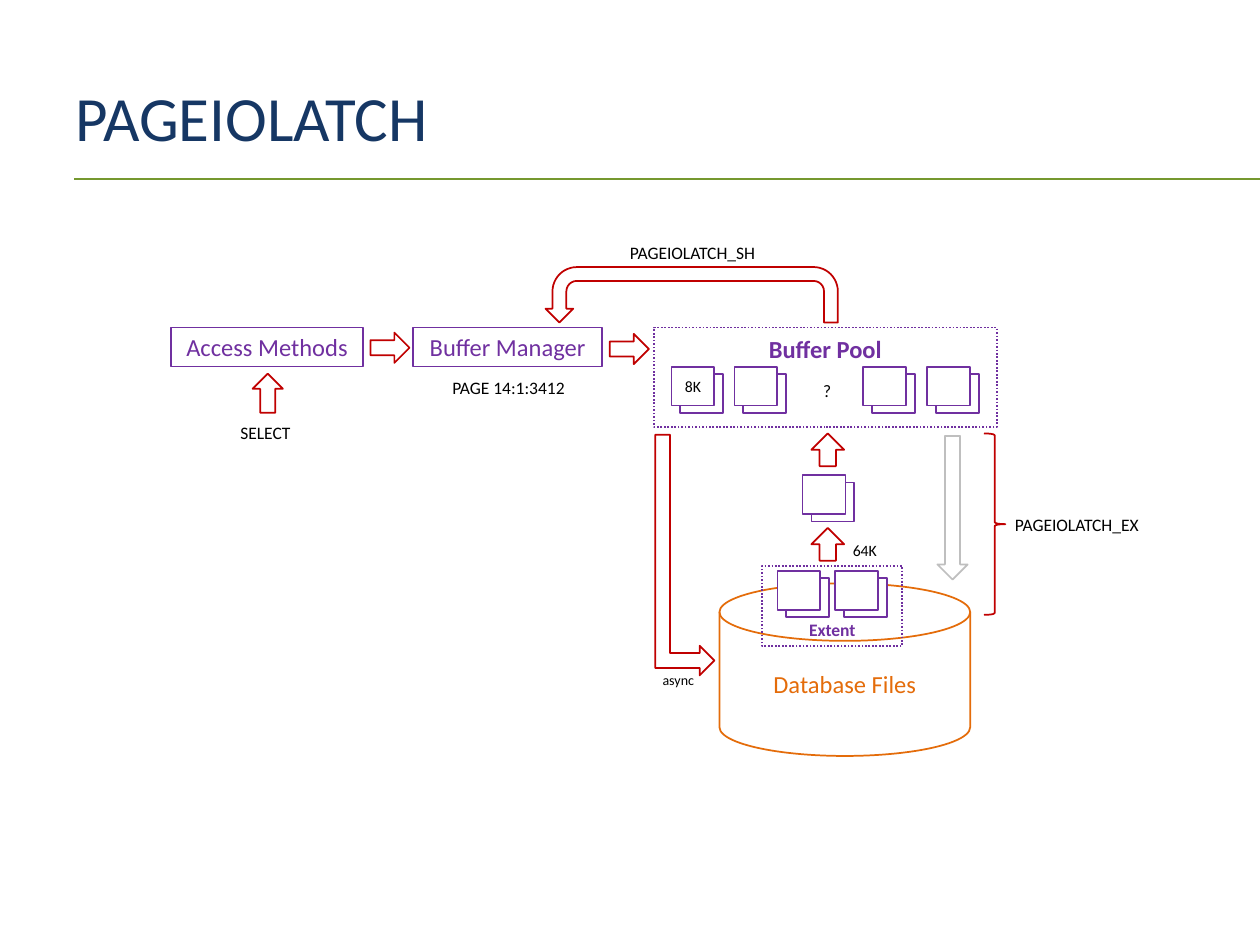
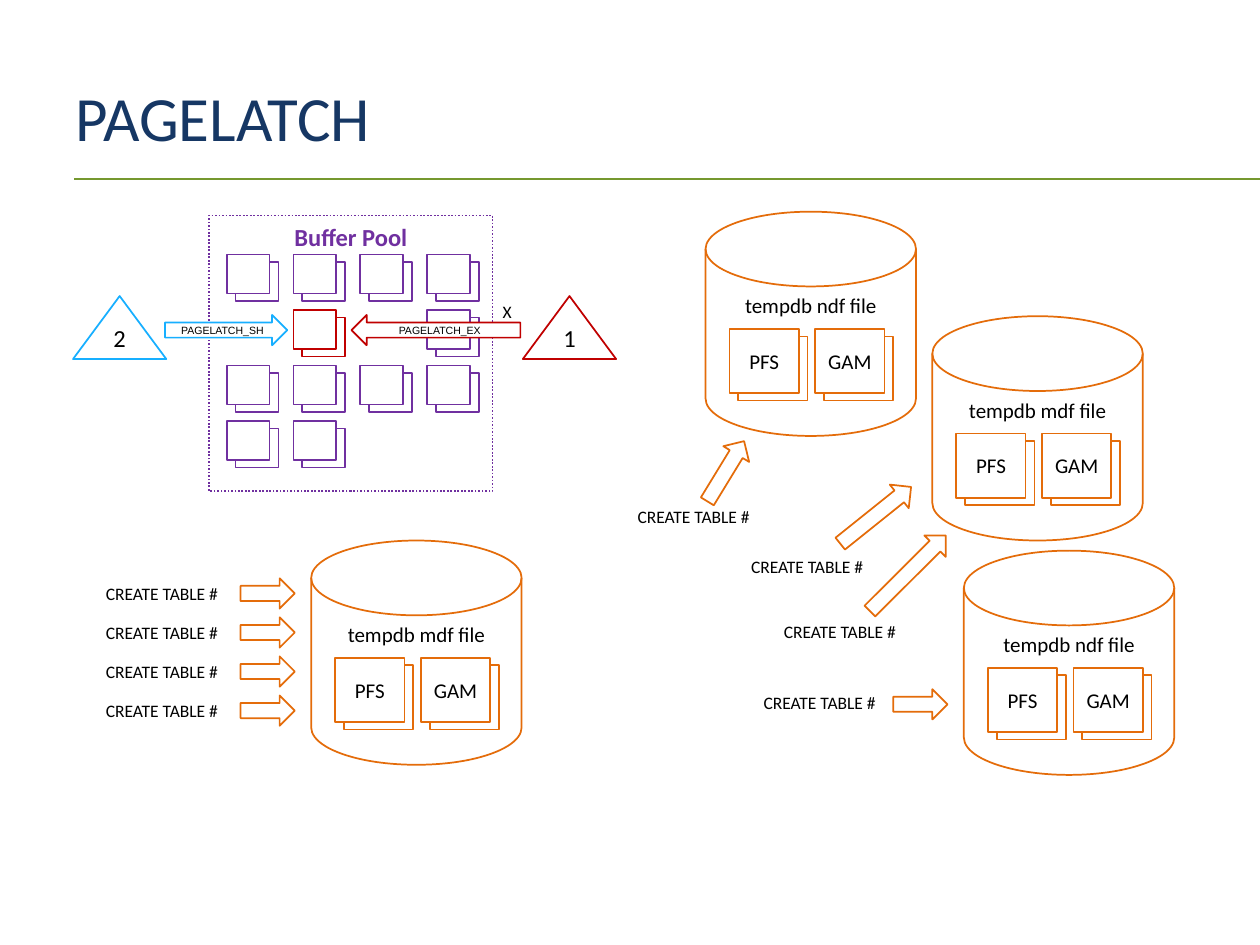
from dataclasses import dataclass
from itertools import product

from lxml.etree import SubElement
from pptx import Presentation
from pptx.dml.color import RGBColor
from pptx.enum.dml import MSO_LINE
from pptx.enum.shapes import MSO_CONNECTOR, MSO_SHAPE as Shape
from pptx.enum.text import MSO_ANCHOR as Anchor, PP_ALIGN as Align
from pptx.oxml.ns import qn
from pptx.shapes.autoshape import Shape as AutoShape
from pptx.slide import Slide
from pptx.util import Inches, Pt

COLORS = {
    "title": "163764",
    "rule": "75982F",
    "purple": "7030A0",
    "orange": "E46C0A",
    "red": "C00000",
    "blue": "17AFFF",
    "gray": "BFBFBF",
    "black": "000000",
    "white": "FFFFFF",
}
PAGE_SIZE = (0.34, 0.31)
FILE_PAGE_SIZE = (0.55, 0.51)


@dataclass
class Text:
    words: str
    size: float
    color: str = "black"
    bold: bool = False
    font: str = "Calibri"
    anchor: Anchor = Anchor.MIDDLE
    align: Align = Align.CENTER


@dataclass
class Box:
    kind: Shape
    x: float
    y: float
    w: float
    h: float
    color: str
    text: Text | None = None
    rotation: float = 0
    filled: bool = True
    dotted: bool = False


@dataclass
class Label:
    x: float
    y: float
    w: float
    words: str
    size: float = 10
    align: Align = Align.CENTER


@dataclass
class DataFile:
    x: float
    y: float
    name: str


def rgb(name: str) -> RGBColor:
    return RGBColor.from_string(COLORS[name])


def write(s: AutoShape, text: Text, inset: float) -> None:
    tf = s.text_frame
    tf.word_wrap = True
    tf.vertical_anchor = text.anchor
    tf.margin_left = tf.margin_right = Inches(inset)
    p = tf.paragraphs[0]
    p.alignment = text.align
    r = p.add_run()
    r.text = text.words
    r.font.name = text.font
    r.font.size = Pt(text.size)
    r.font.bold = text.bold
    r.font.color.rgb = rgb(text.color)


def draw_box(slide: Slide, box: Box) -> AutoShape:
    s = slide.shapes.add_shape(
        box.kind, Inches(box.x), Inches(box.y), Inches(box.w), Inches(box.h))
    s.shadow.inherit = False
    s.rotation = box.rotation
    if box.filled:
        s.fill.solid()
        s.fill.fore_color.rgb = rgb("white")
    else:
        s.fill.background()
    s.line.color.rgb = rgb(box.color)
    s.line.width = Pt(1)
    if box.dotted:
        s.line.dash_style = MSO_LINE.ROUND_DOT
    if box.text:
        write(s, box.text, 0.04)
    return s


def draw_text(slide: Slide, x: float, y: float, w: float, h: float, text: Text) -> None:
    s = slide.shapes.add_textbox(Inches(x), Inches(y), Inches(w), Inches(h))
    write(s, text, 0.1)


def draw_label(slide: Slide, label: Label) -> None:
    draw_text(slide, label.x, label.y, label.w, 0.27,
              Text(label.words, label.size, anchor=Anchor.TOP, align=label.align))


def draw_pages(slide: Slide, x: float, y: float, color: str = "purple",
               size: tuple[float, float] = PAGE_SIZE, text: Text | None = None) -> None:
    draw_box(slide, Box(Shape.RECTANGLE, x + 0.07, y + 0.06, *size, color))
    draw_box(slide, Box(Shape.RECTANGLE, x, y, *size, color, text))


def draw_region(slide: Slide, x: float, y: float, w: float, h: float, text: Text) -> None:
    draw_box(slide, Box(Shape.RECTANGLE, x, y, w, h, "purple", text,
                        filled=False, dotted=True))


def draw_data_file(slide: Slide, file: DataFile) -> None:
    draw_box(slide, Box(Shape.FLOWCHART_MAGNETIC_DISK, file.x, file.y, 1.67, 1.78,
                        "orange", Text(file.name, 12, anchor=Anchor.TOP)))
    for dx, name in ((0.19, "PFS"), (0.87, "GAM")):
        draw_pages(slide, file.x + dx, file.y + 0.93, "orange", FILE_PAGE_SIZE,
                   Text(name, 12))


def add_slide(prs: Presentation, title: str) -> Slide:
    slide = prs.slides.add_slide(prs.slide_layouts[6])
    rule = slide.shapes.add_connector(
        MSO_CONNECTOR.STRAIGHT, Inches(0.59), Inches(1.42), Inches(10), Inches(1.42))
    rule.line.color.rgb = rgb("rule")
    rule.line.width = Pt(1)
    SubElement(rule.element.spPr, qn("a:effectLst"))
    draw_text(slide, 0.5, 0.3, 9, 1.25, Text(title, 36, "title", align=Align.LEFT))
    return slide


def build_io_latch(prs: Presentation) -> None:
    slide = add_slide(prs, "PAGEIOLATCH")
    for box in (
        Box(Shape.RECTANGLE, 1.36, 2.6, 1.52, 0.31, "purple",
            Text("Access Methods", 14, "purple")),
        Box(Shape.RECTANGLE, 3.28, 2.6, 1.5, 0.31, "purple",
            Text("Buffer Manager", 14, "purple")),
        Box(Shape.FLOWCHART_MAGNETIC_DISK, 5.71, 4.63, 1.99, 1.37, "orange",
            Text("Database Files", 14, "orange")),
        Box(Shape.RIGHT_ARROW, 2.94, 2.64, 0.31, 0.24, "red"),
        Box(Shape.RIGHT_ARROW, 4.84, 2.65, 0.31, 0.24, "red"),
        Box(Shape.RIGHT_ARROW, 1.97, 3, 0.31, 0.24, "red", rotation=270),
        Box(Shape.UP_ARROW, 6.44, 3.44, 0.26, 0.26, "red"),
        Box(Shape.UP_ARROW, 6.44, 4.19, 0.26, 0.26, "red"),
        Box(Shape.BENT_UP_ARROW, 4.48, 4.17, 1.91, 0.47, "red", rotation=90),
        Box(Shape.RIGHT_BRACE, 7.81, 3.44, 0.17, 1.44, "red", filled=False),
        Box(Shape.DOWN_ARROW, 7.44, 3.46, 0.24, 1.14, "gray"),
    ):
        draw_box(slide, box)

    draw_region(slide, 5.19, 2.6, 2.72, 0.79,
                Text("Buffer Pool", 14, "purple", True, anchor=Anchor.TOP))
    draw_pages(slide, 5.33, 2.91, text=Text("8K", 9))
    for x, y in ((5.83, 2.91), (6.85, 2.91), (7.36, 2.91),
                 (6.37, 3.77), (6.17, 4.53), (6.63, 4.53)):
        draw_pages(slide, x, y)
    draw_region(slide, 6.05, 4.49, 1.11, 0.64,
                Text("Extent", 10, "purple", True, anchor=Anchor.BOTTOM))

    s = draw_box(slide, Box(Shape.U_TURN_ARROW, 4.33, 2.12, 2.32, 0.44, "red"))
    for i, value in enumerate((0.25, 0.25, 0.25, 0.438, 1)):
        s.adjustments[i] = value
    s.element.spPr.xfrm.set("flipH", "1")

    for label in (
        Label(1.81, 3.3, 1.07, "SELECT", align=Align.LEFT),
        Label(3.38, 2.94, 1.31, "PAGE 14:1:3412"),
        Label(4.84, 1.87, 1.31, "PAGEIOLATCH_SH"),
        Label(7.89, 4.03, 1.31, "PAGEIOLATCH_EX"),
        Label(6.37, 2.97, 0.39, "?"),
        Label(6.67, 4.24, 0.5, "64K", 9, Align.LEFT),
        Label(5.16, 5.28, 0.55, "async", 8, Align.LEFT),
    ):
        draw_label(slide, label)


def build_latch(prs: Presentation) -> None:
    slide = add_slide(prs, "PAGELATCH")
    draw_region(slide, 1.66, 1.71, 2.25, 2.19,
                Text("Buffer Pool", 14, "purple", True, anchor=Anchor.TOP))
    free_cells = {(1, 0), (1, 2), (3, 2), (3, 3)}
    for row, col in product(range(4), repeat=2):
        if (row, col) not in free_cells:
            draw_pages(slide, 1.8 + 0.53 * col, 2.02 + 0.44 * row,
                       "red" if (row, col) == (1, 1) else "purple")

    for box in (
        Box(Shape.RIGHT_ARROW, 1.31, 2.5, 0.97, 0.24, "blue",
            Text("PAGELATCH_SH", 6, font="Arial")),
        Box(Shape.LEFT_ARROW, 2.79, 2.5, 1.34, 0.24, "red",
            Text("PAGELATCH_EX", 6, font="Arial")),
        Box(Shape.ISOSCELES_TRIANGLE, 0.58, 2.35, 0.74, 0.5, "blue",
            Text("2", 14, anchor=Anchor.BOTTOM)),
        Box(Shape.ISOSCELES_TRIANGLE, 4.15, 2.35, 0.74, 0.5, "red",
            Text("1", 14, anchor=Anchor.BOTTOM)),
    ):
        draw_box(slide, box)
    draw_label(slide, Label(3.89, 2.34, 0.42, "X", align=Align.LEFT))

    for file in (
        DataFile(2.47, 4.29, "tempdb mdf file"),
        DataFile(7.4, 2.51, "tempdb mdf file"),
        DataFile(7.65, 4.37, "tempdb ndf file"),
        DataFile(5.6, 1.68, "tempdb ndf file"),
    ):
        draw_data_file(slide, file)

    queue = [(0.71, 4.58 + 0.31 * i) for i in range(4)]
    spread = [(5.93, 5.44), (4.93, 3.97), (5.83, 4.36), (6.09, 4.88)]
    for x, y in queue + spread:
        draw_label(slide, Label(x, y, 1.15, "CREATE TABLE #"))

    level = [(1.91, y + 0.01, 0.43, 0) for _, y in queue]
    slanted = [(7.09, 5.47, 0.43, 0), (5.48, 3.62, 0.56, 301.4),
               (6.59, 3.97, 0.72, 321.3), (6.78, 4.43, 0.85, 315.1)]
    for x, y, w, angle in level + slanted:
        draw_box(slide, Box(Shape.RIGHT_ARROW, x, y, w, 0.24, "orange", rotation=angle))


prs = Presentation()
prs.slide_width = Inches(10)
prs.slide_height = Inches(7.5)
build_io_latch(prs)
build_latch(prs)
prs.save("out.pptx")
